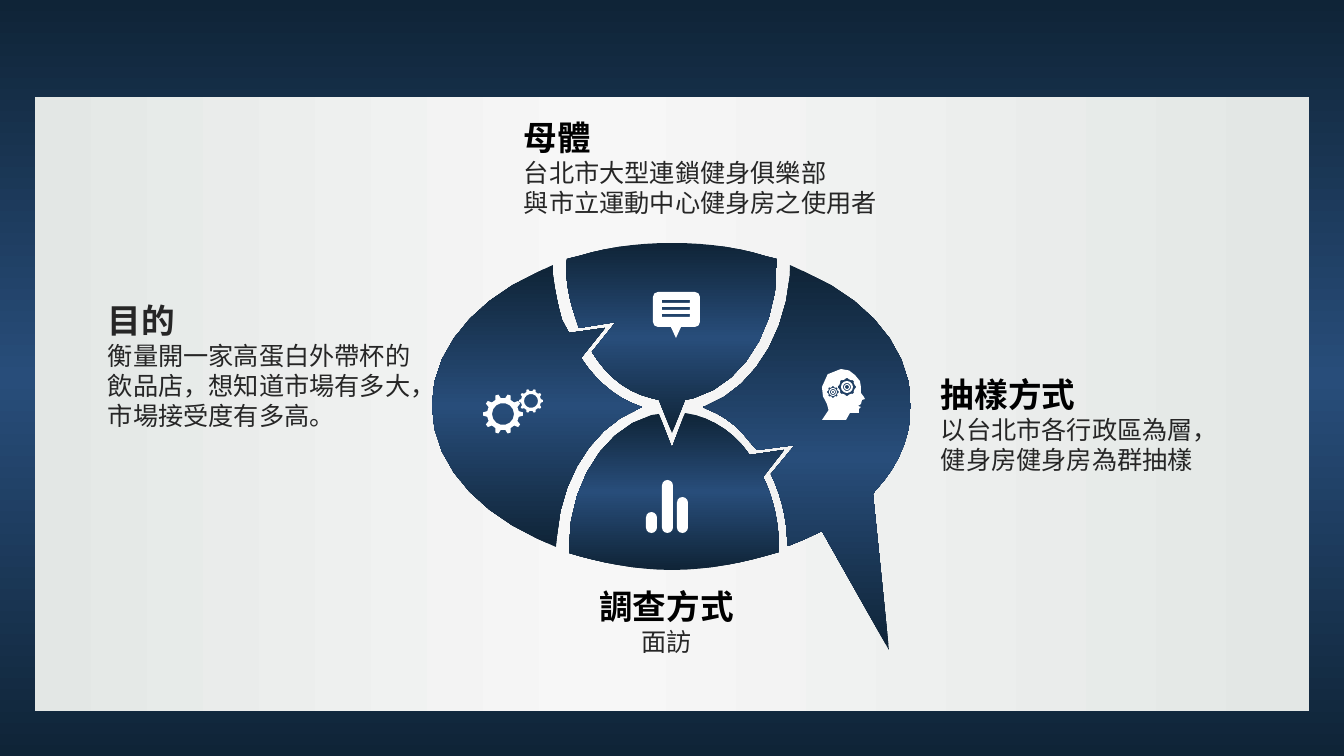
from math import cos, dist, pi, sin

from lxml import etree
from pptx import Presentation
from pptx.dml.color import RGBColor
from pptx.enum.shapes import MSO_SHAPE
from pptx.enum.text import MSO_AUTO_SIZE, PP_ALIGN
from pptx.oxml.ns import qn
from pptx.util import Inches, Pt

RECT, ROUND, DONUT = MSO_SHAPE.RECTANGLE, MSO_SHAPE.ROUNDED_RECTANGLE, MSO_SHAPE.DONUT
GROW = MSO_AUTO_SIZE.SHAPE_TO_FIT_TEXT
LEFT, MID = PP_ALIGN.LEFT, PP_ALIGN.CENTER
WIDE, HIGH = 1344, 756
SCALE = Inches(7.5) / HIGH

COLORS = {"navy": "0F2437", "blue": "284D7A", "gray": "E3E7E5", "pale": "F7F7F7",
          "white": "FFFFFF", "black": "000000", "ink": "262626"}
NAVY = [(0, "navy"), (50, "blue"), (100, "navy")]
SILVER = [(0, "gray"), (1, "gray"), (56, "pale"), (100, "gray")]
PANEL = (35, 97, 1274, 614)
HEAD_FONT, EAST = "Noto Sans CJK JP", "Calibri"

# box, wrap, alignment, title color, body font, title, body lines
NOTES = [
    ((98, 295, 323, 166), True, LEFT, "ink", "Calibri", "目的",
     ["衡量開一家高蛋白外帶杯的飲品店，想知道市場有多大，市場接受度有多高。"]),
    ((588, 581, 157, 82), False, MID, "black", "Calibri", "調查方式", ["面訪"]),
    ((931, 369, 321, 112), True, LEFT, "black", "Calibri", "抽樣方式",
     ["以台北市各行政區為層，健身房健身房為群抽樣"]),
    ((514, 112, 377, 122), False, LEFT, "black", "Arial", "母體",
     ["台北市大型連鎖健身俱樂部", "與市立運動中心健身房之使用者"]),
]

# Outlines: a pair is a corner, six numbers are a curve (two handles, end)
PIECES = [
    [(553, 265), (553, 275), (555, 291, 558, 306, 562, 320), (569, 333), (605, 328),
     (581, 358), (596, 381, 616, 398, 639, 406), (642, 407), (638, 409),
     (595, 426, 561, 476, 557, 536), (556, 547), (538, 539),
     (475, 510, 432, 462, 432, 405), (432, 350, 475, 300, 538, 272)],
    [(672, 243), (705, 243, 737, 247, 765, 256), (777, 259), (777, 265),
     (777, 331, 741, 385, 694, 398), (685, 400), (672, 433), (659, 400), (651, 398),
     (630, 393, 612, 380, 598, 361), (592, 352), (616, 322), (579, 328), (576, 319),
     (570, 302, 566, 284, 566, 265), (567, 259), (579, 256),
     (608, 247, 639, 243, 672, 243)],
    [(685, 413), (695, 415), (716, 421, 735, 434, 749, 454), (750, 455), (784, 450),
     (763, 477), (765, 481), (774, 501, 779, 524, 779, 548), (779, 552), (765, 556),
     (737, 564, 705, 570, 672, 570), (639, 570, 608, 564, 579, 556), (569, 553),
     (569, 548), (569, 483, 605, 428, 652, 415), (659, 414), (672, 448)],
    [(790, 265), (805, 272), (870, 300, 911, 350, 911, 405),
     (911, 437, 898, 467, 875, 491), (873, 494), (889, 650), (822, 531), (805, 539),
     (788, 546), (787, 536), (786, 514, 780, 493, 771, 474), (795, 445), (757, 450),
     (750, 442), (738, 426, 723, 415, 707, 409), (703, 407), (706, 406),
     (751, 389, 785, 338, 790, 275)],
]
FACE = [(864, 397), (861, 393), (861, 387), (860, 381), (855, 375),
        (852, 371, 847, 369, 841, 369), (831, 369, 822, 377, 822, 387),
        (822, 394, 823, 399, 827, 404), (827, 404, 833, 415, 822, 420), (846, 420),
        (850, 413), (859, 413), (859, 409), (861, 407), (858, 406), (861, 404),
        (862, 400), (865, 399)]
BARS = [(662, 480), (646, 512), (677, 497)]
RINGS = [(833, 392, 4, 3), (847, 387, 3, 2), (833, 392, 2, 1), (847, 387, 6, 4)]


# Outline makers
def trace(nodes):
    dots = []
    for node in nodes:
        if len(node) == 2:
            dots.append(node)
            continue
        ax, ay = dots[-1]
        bx, by, cx, cy, dx, dy = node
        steps = max(2, min(7, round(dist((ax, ay), (dx, dy)) / 11)))
        for step in range(1, steps + 1):
            t = step / steps
            u = 1 - t
            k = (u ** 3, 3 * u * u * t, 3 * u * t * t, t ** 3)
            dots.append((k[0] * ax + k[1] * bx + k[2] * cx + k[3] * dx,
                         k[0] * ay + k[1] * by + k[2] * cy + k[3] * dy))
    return dots


def polar(x, y, r, turn):
    return x + r * cos(2 * pi * turn), y + r * sin(2 * pi * turn)


def disc(x, y, r):
    return [polar(x, y, r, i / 14) for i in range(14)]


def gear(x, y, tip, root, teeth):
    form = [(root, -0.28), (tip, -0.13), (tip, 0.13), (root, 0.28)]
    return [polar(x, y, r, (i + off) / teeth) for i in range(teeth) for r, off in form]


def box(x, y, w, h):
    return [(x, y), (x + w, y), (x + w, y + h), (x, y + h)]


def soft(x, y, w, h, r):
    hubs = [(x + w - r, y + h - r), (x + r, y + h - r), (x + r, y + r), (x + w - r, y + r)]
    return [polar(a, b, r, (i + j / 2) / 4) for i, (a, b) in enumerate(hubs) for j in range(3)]


# Each icon is a list of parts, each part a list of outlines
COGS = [[gear(503, 414, 20, 16, 10), disc(503, 414, 11)],
        [gear(531, 401, 12, 10, 10), disc(531, 401, 7)]]
CHAT = [[(676, 338), (670, 325), (682, 325)]], \
       [soft(653, 292, 47, 35, 5)] + [box(662, 300 + 7 * i, 28, 3) for i in range(3)]
MIND = [[trace(FACE), gear(833, 392, 6, 5, 8), gear(847, 387, 9, 8, 8)]]


# Drawing
def emu(values):
    return [round(v * SCALE) for v in values]


def color(name):
    return RGBColor.from_string(COLORS[name])


def shade(fill, root, stops, angle):
    fill.gradient()
    fill.gradient_angle = angle
    marks = root.find(".//" + qn("a:gsLst"))
    for old in list(marks):
        marks.remove(old)
    for pos, name in stops:
        mark = etree.SubElement(marks, qn("a:gs"), pos=str(pos * 1000))
        etree.SubElement(mark, qn("a:srgbClr"), val=COLORS[name])


def plain(shape):
    shape.shadow.inherit = False
    shape.line.fill.background()
    return shape


def white(shape):
    shape.fill.solid()
    shape.fill.fore_color.rgb = color("white")


def draw(shapes, loops):
    first, *rest = loops
    pen = shapes.build_freeform(*emu(first[0]), scale=1.0)
    pen.add_line_segments([emu(p) for p in first[1:]], close=True)
    for loop in rest:
        pen.move_to(*emu(loop[0]))
        pen.add_line_segments([emu(p) for p in loop[1:]], close=True)
    return plain(pen.convert_to_shape())


def preset(shapes, kind, place, bend):
    shape = plain(shapes.add_shape(kind, *emu(place)))
    shape.adjustments[0] = bend
    white(shape)


def write(para, text, size, face, tint, bold):
    run = para.add_run()
    run.text = text
    font = run.font
    font.size, font.bold, font.name = Pt(size), bold, face
    font.color.rgb = color(tint)
    etree.SubElement(run._r.get_or_add_rPr(), qn("a:ea"), typeface=EAST)


def main():
    deck = Presentation()
    deck.slide_width, deck.slide_height = emu((WIDE, HIGH))
    slide = deck.slides.add_slide(deck.slide_layouts[6])
    shapes = slide.shapes

    # Backdrop and panel
    shade(slide.background.fill, slide._element, NAVY, 270)
    panel = plain(shapes.add_shape(RECT, *emu(PANEL)))
    shade(panel.fill, panel._element, SILVER, 180)

    # Puzzle bubble
    for nodes in PIECES:
        piece = draw(shapes, [trace(nodes)])
        shade(piece.fill, piece._element, NAVY, 270)

    # Icons
    for icon in (COGS, CHAT, MIND):
        group = shapes.add_group_shape().shapes
        for loops in icon:
            white(draw(group, loops))
    for x, y, out, hole in RINGS:
        preset(group, DONUT, (x - out, y - out, 2 * out, 2 * out), (out - hole) / out / 2)
    chart = shapes.add_group_shape().shapes
    for x, top in BARS:
        preset(chart, ROUND, (x, top, 11, 533 - top), 0.5)

    # Notes
    for place, wrap, align, tint, face, title, lines in NOTES:
        frame = shapes.add_textbox(*emu(place)).text_frame
        frame.word_wrap, frame.auto_size = wrap, GROW
        write(frame.paragraphs[0], title, 24, HEAD_FONT, tint, True)
        for line in lines:
            write(frame.add_paragraph(), line, 18, face, "ink", False)
        for para in frame.paragraphs:
            para.alignment = align

    deck.save("out.pptx")


if __name__ == "__main__":
    main()
